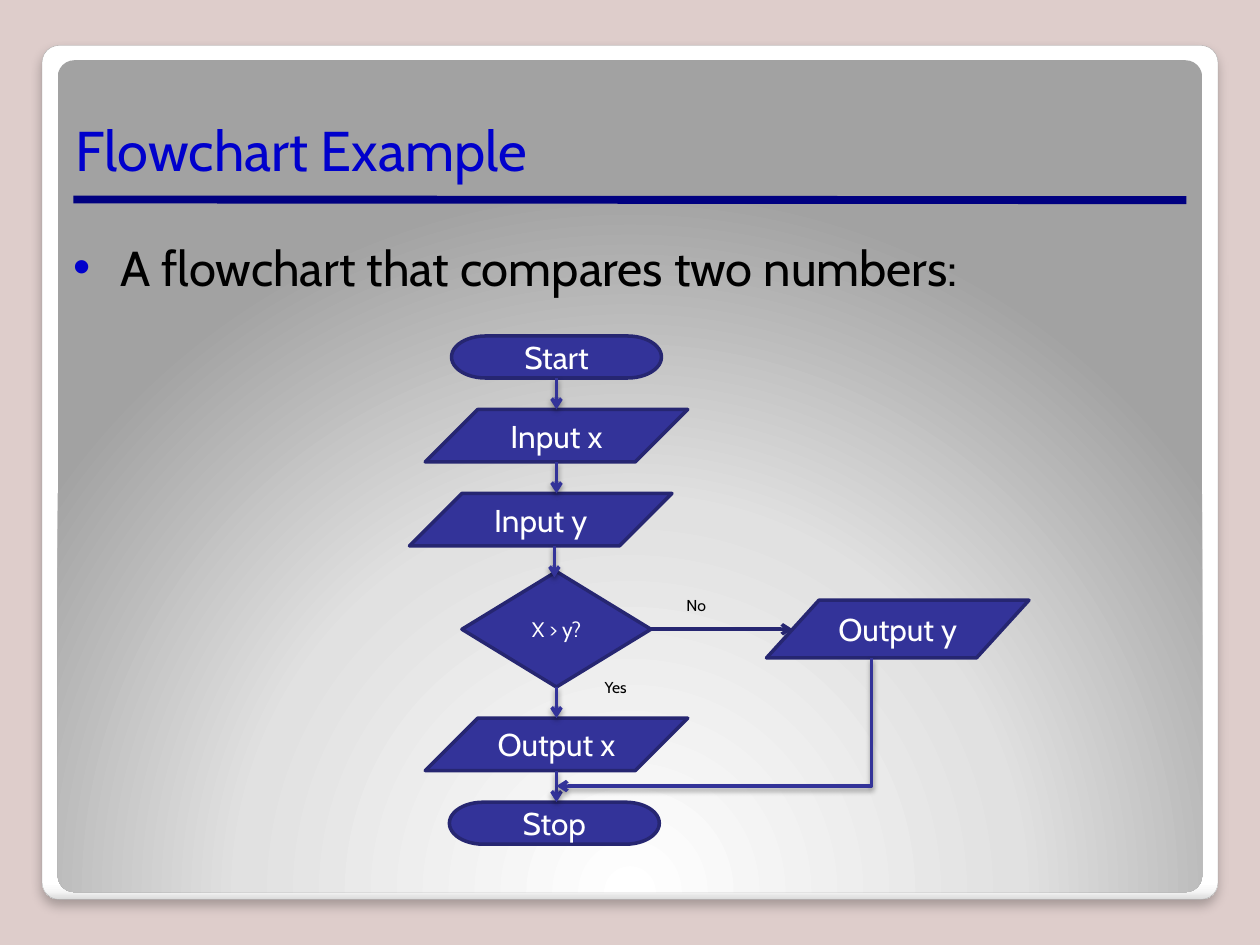
from lxml import etree
from pptx import Presentation
from pptx.dml.color import RGBColor
from pptx.enum.shapes import MSO_CONNECTOR as CONNECTOR, MSO_SHAPE as SHAPE
from pptx.enum.text import MSO_ANCHOR as ANCHOR, MSO_AUTO_SIZE as AUTO_SIZE, PP_ALIGN as ALIGN
from pptx.oxml import parse_xml
from pptx.oxml.ns import nsdecls, qn
from pptx.util import Pt

BACKDROP = RGBColor(0xDE, 0xCD, 0xCB)
FRAME_EDGE = RGBColor(0xA4, 0xA4, 0xA4)
NAVY = RGBColor(0x00, 0x00, 0x80)
BLUE = RGBColor(0x00, 0x00, 0xCC)
INDIGO = RGBColor(0x33, 0x33, 0x99)
DARK_INDIGO = RGBColor(0x26, 0x26, 0x71)
BLACK = RGBColor(0x00, 0x00, 0x00)
WHITE = RGBColor(0xFF, 0xFF, 0xFF)
A_NS = nsdecls("a")


def add_run(paragraph, text, size, color):
    run = paragraph.add_run()
    run.text = text
    run.font.name = "Cabin"
    run.font.size = Pt(size)
    run.font.color.rgb = color


def set_shadow(shape, alpha=0, blur=0, distance=0):
    """Append a downward shadow, or an empty effect list when alpha is 0."""
    shadow = (
        f'<a:outerShdw blurRad="{Pt(blur)}" dist="{Pt(distance)}" dir="5400000" rotWithShape="0">'
        f'<a:srgbClr val="000000"><a:alpha val="{alpha * 1000}"/></a:srgbClr></a:outerShdw>'
    ) if alpha else ""
    shape.element.spPr.append(parse_xml(f"<a:effectLst {A_NS}>{shadow}</a:effectLst>"))


prs = Presentation()
prs.slide_width, prs.slide_height = Pt(720), Pt(540)
slide = prs.slides.add_slide(prs.slide_layouts[1])
shapes = slide.shapes
slide.background.fill.solid()
slide.background.fill.fore_color.rgb = BACKDROP

# White frame and grey panel
frame_stops = [(0, "FFFFFF"), (98, "FFFFFF"), (99, "F7F7F7"), (100, "DADADA")]
panel_stops = [(0, "FFFFFF"), (55, "E1E1E1"), (100, "A2A2A2")]
downward = '<a:lin ang="5400000" scaled="0"/>'
radial = ('<a:path path="circle"><a:fillToRect l="50000" t="175000" '
          'r="50000" b="-75000"/></a:path>')
for box, stops, direction, is_frame in [
    ((24, 26, 672, 488), frame_stops, downward, True),
    ((33, 34.4, 654, 475.4), panel_stops, radial, False),
]:
    card = shapes.add_shape(SHAPE.ROUNDED_RECTANGLE, *map(Pt, box))
    card.adjustments[0] = 0.02
    stop_xml = "".join(
        f'<a:gs pos="{pos * 1000}"><a:srgbClr val="{color}"/></a:gs>' for pos, color in stops)
    card.element.spPr.insert(2, parse_xml(
        f'<a:gradFill {A_NS} rotWithShape="1"><a:gsLst>{stop_xml}</a:gsLst>{direction}</a:gradFill>'))
    if is_frame:
        card.line.color.rgb = FRAME_EDGE
        card.line.width = Pt(0.16)
        set_shadow(card, 25, 6, 4)
    else:
        card.line.fill.background()
        set_shadow(card)

# Rule under the title
title_rule = shapes.add_connector(CONNECTOR.STRAIGHT, Pt(42), Pt(114), Pt(678), Pt(114.4))
title_rule.line.color.rgb = NAVY
title_rule.line.width = Pt(4.5)
set_shadow(title_rule)

# Title and bullet, brought in front of the panel
heading, body = shapes.title, slide.placeholders[1]
for placeholder, box, anchor, text, size, color in [
    (heading, (36, 36, 648, 72), ANCHOR.BOTTOM, "Flowchart Example", 32, BLUE),
    (body, (34.6, 132, 648, 371.5), ANCHOR.TOP, "A flowchart that compares two numbers:", 28, BLACK),
]:
    shapes.element.append(placeholder.element)
    placeholder.left, placeholder.top, placeholder.width, placeholder.height = map(Pt, box)
    frame = placeholder.text_frame
    frame.auto_size = AUTO_SIZE.NONE
    frame.vertical_anchor = anchor
    frame.paragraphs[0].alignment = ALIGN.LEFT
    add_run(frame.paragraphs[0], text, size, color)

bullet = body.text_frame.paragraphs[0]._p.get_or_add_pPr()
bullet.set("marL", str(Pt(27)))
bullet.set("indent", str(Pt(-27)))
bullet.append(parse_xml(f'<a:buClr {A_NS}><a:srgbClr val="{BLUE}"/></a:buClr>'))
bullet.append(parse_xml(f'<a:buChar {A_NS} char="•"/>'))

# Flowchart steps
steps = {}
for text, kind, left, top, width, height, size in [
    ("Start", SHAPE.FLOWCHART_TERMINATOR, 258, 192, 120, 24, 18),
    ("Input x", SHAPE.FLOWCHART_DATA, 243, 234, 150, 30, 18),
    ("Input y", SHAPE.FLOWCHART_DATA, 234, 282, 150, 30, 18),
    ("X > y?", SHAPE.FLOWCHART_DECISION, 264, 326.6, 108, 66, 12),
    ("Output x", SHAPE.FLOWCHART_DATA, 243, 410.4, 150, 30, 18),
    ("Stop", SHAPE.FLOWCHART_TERMINATOR, 256.8, 458.4, 120, 24, 18),
    ("Output y", SHAPE.FLOWCHART_DATA, 438, 343, 150, 33, 18),
]:
    step = shapes.add_shape(kind, Pt(left), Pt(top), Pt(width), Pt(height))
    step.shadow.inherit = False
    step.fill.solid()
    step.fill.fore_color.rgb = INDIGO
    step.line.color.rgb = DARK_INDIGO
    step.line.width = Pt(2)
    step.text_frame.vertical_anchor = ANCHOR.MIDDLE
    step.text_frame.paragraphs[0].alignment = ALIGN.CENTER
    add_run(step.text_frame.paragraphs[0], text, size, WHITE)
    steps[text] = step

# Arrows: the elbow is turned a quarter so it runs down, then left
for kind, x1, y1, x2, y2, color, source in [
    (CONNECTOR.STRAIGHT, 318, 216, 318, 234, INDIGO, ("Start", 2)),
    (CONNECTOR.STRAIGHT, 318, 264, 318, 282, INDIGO, None),
    (CONNECTOR.STRAIGHT, 316.8, 312, 316.8, 330, INDIGO, None),
    (CONNECTOR.STRAIGHT, 318, 392.6, 318, 410.4, INDIGO, ("X > y?", 2)),
    (CONNECTOR.STRAIGHT, 318, 440.4, 318, 458.4, INDIGO, None),
    (CONNECTOR.STRAIGHT, 372, 359.6, 453, 359.6, DARK_INDIGO, ("X > y?", 3)),
    (CONNECTOR.ELBOW, 371.4, 322.6, 444.6, 502.6, INDIGO, None),
]:
    arrow = shapes.add_connector(kind, Pt(x1), Pt(y1), Pt(x2), Pt(y2))
    if source:
        arrow.begin_connect(steps[source[0]], source[1])
    if kind == CONNECTOR.ELBOW:
        properties = arrow.element.spPr
        properties.find(qn("a:xfrm")).set("rot", "5400000")
        properties.find(qn("a:prstGeom")).set("prst", "bentConnector2")
    arrow.line.color.rgb = color
    arrow.line.width = Pt(2)
    etree.SubElement(arrow.line._get_or_add_ln(), qn("a:tailEnd"), type="arrow")
    if color == INDIGO:
        set_shadow(arrow, 38, 3.1, 1.6)
    else:
        set_shadow(arrow)

# Branch labels
for text, left, top in [("No", 385.2, 337), ("Yes", 338.4, 383.8)]:
    branch = shapes.add_textbox(Pt(left), Pt(top), Pt(45), Pt(18))
    branch.text_frame.word_wrap = True
    branch.text_frame.auto_size = AUTO_SIZE.SHAPE_TO_FIT_TEXT
    add_run(branch.text_frame.paragraphs[0], text, 9, BLACK)

prs.save("out.pptx")
